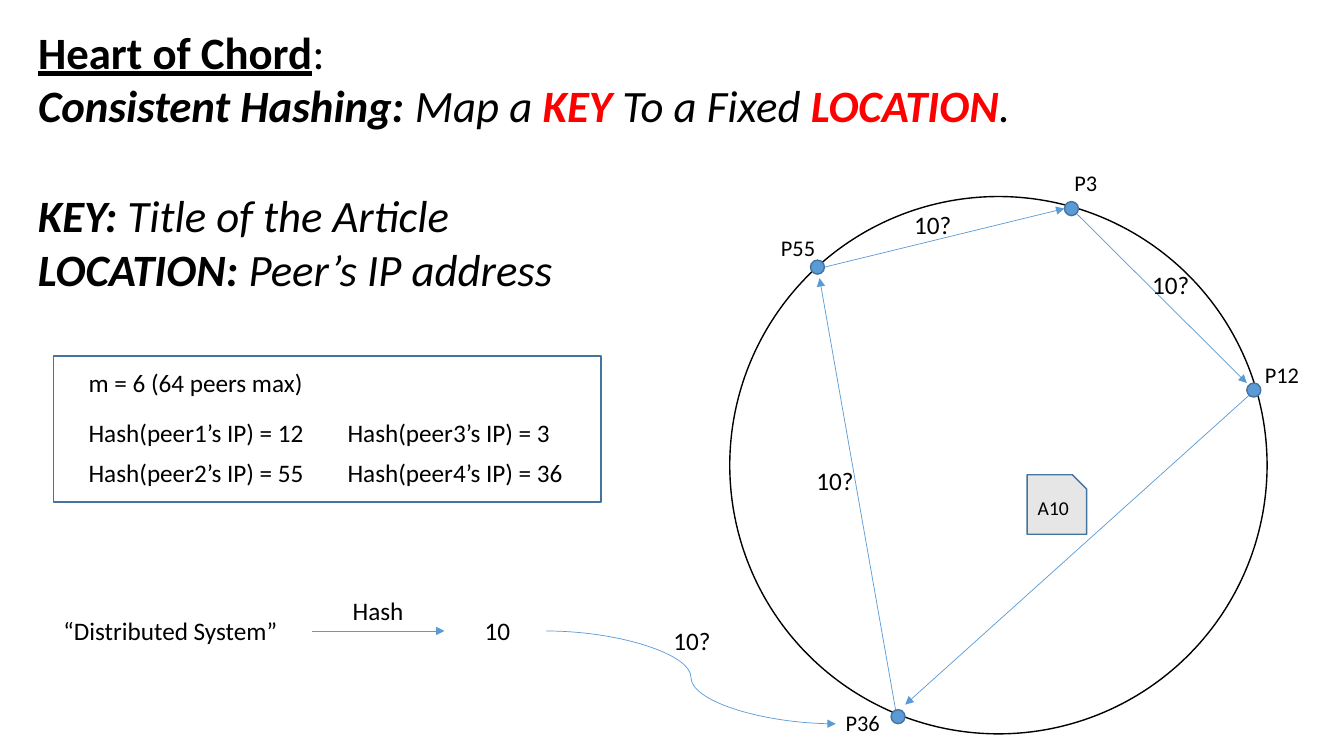
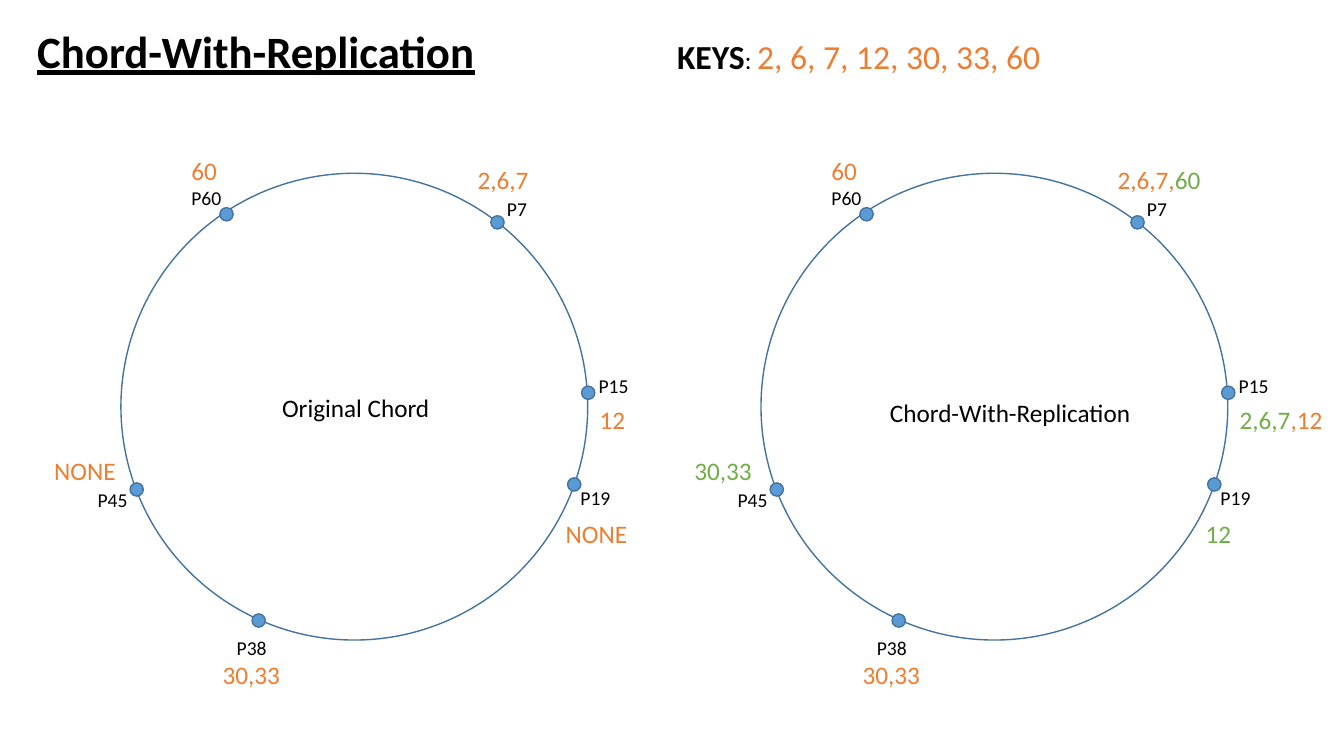
"""Build two slides on consistent hashing in Chord and on its replication."""
from dataclasses import dataclass
from typing import Optional

from lxml import etree
from pptx import Presentation
from pptx.dml.color import RGBColor as Color
from pptx.enum.shapes import MSO_CONNECTOR as Connector, MSO_SHAPE as Shape
from pptx.enum.text import MSO_ANCHOR as Anchor, MSO_AUTO_SIZE as AutoSize, PP_ALIGN as Align
from pptx.oxml.ns import qn
from pptx.util import Pt


@dataclass(frozen=True)
class Theme:
    font: str = "Calibri"
    ink: Color = Color(0x00, 0x00, 0x00)
    red: Color = Color(0xFF, 0x00, 0x00)
    blue: Color = Color(0x5B, 0x9B, 0xD5)
    outline: Color = Color(0x43, 0x73, 0x9E)
    grey: Color = Color(0xE7, 0xE6, 0xE6)
    orange: Color = Color(0xED, 0x7D, 0x31)
    green: Color = Color(0x70, 0xAD, 0x47)
    title: int = 32
    heading: int = 24
    body: int = 18
    peer: int = 16
    small: int = 14


@dataclass(frozen=True)
class Span:
    text: str
    bold: Optional[bool] = None
    italic: Optional[bool] = None
    underline: Optional[bool] = None
    color: Optional[Color] = None
    size: Optional[int] = None


theme = Theme()


def write(box, place, size, *lines, anchor=Anchor.TOP, align=Align.LEFT):
    box.left, box.top, box.width, box.height = map(Pt, place)
    frame = box.text_frame
    frame.word_wrap = True
    frame.auto_size = AutoSize.NONE
    frame.vertical_anchor = anchor
    for index, line in enumerate(lines):
        para = frame.add_paragraph() if index else frame.paragraphs[0]
        para.alignment = align
        para.font.name = theme.font
        para.font.size = Pt(size)
        para.font.bold = False
        para.font.color.rgb = theme.ink
        for span in line:
            run = para.add_run()
            run.text = span.text
            for name in ("bold", "italic", "underline"):
                if getattr(span, name) is not None:
                    setattr(run.font, name, getattr(span, name))
            if span.color is not None:
                run.font.color.rgb = span.color
            if span.size is not None:
                run.font.size = Pt(span.size)


def draw(page, kind, place, fill=None, line=theme.outline):
    shape = page.shapes.add_shape(kind, *map(Pt, place))
    shape.shadow.inherit = False
    if fill is None:
        shape.fill.background()
    else:
        shape.fill.solid()
        shape.fill.fore_color.rgb = fill
    shape.line.color.rgb = line
    shape.line.width = Pt(1)
    return shape


deck = Presentation()
deck.slide_width, deck.slide_height = Pt(960), Pt(540)
title_only = deck.slide_layouts[5]

page = deck.slides.add_slide(title_only)
write(
    page.shapes.title, (20, 13.7, 870, 86), theme.title,
    [Span("Heart of Chord", bold=True, underline=True), Span(":")],
    [
        Span("Consistent Hashing: ", bold=True, italic=True),
        Span("Map a ", italic=True),
        Span("KEY ", bold=True, italic=True, color=theme.red),
        Span("To a Fixed ", italic=True),
        Span("LOCATION", bold=True, italic=True, color=theme.red),
        Span(".", italic=True),
    ],
)
write(
    page.shapes.add_textbox(0, 0, 0, 0), (20, 130.8, 480, 86), theme.title,
    [Span("KEY: ", bold=True, italic=True), Span("Title of the Article", italic=True)],
    [Span("LOCATION: ", bold=True, italic=True), Span("Peer’s IP address", italic=True)],
)

draw(page, Shape.RECTANGLE, (38.2, 254.2, 391, 104.4))
draw(page, Shape.OVAL, (521.3, 140.4, 383.8, 383.8), line=theme.ink)

arrows = [
    (Connector.STRAIGHT, 223, 450.7, 317.5, 450.7),
    (Connector.CURVE, 390.2, 450.7, 597, 517),
    (Connector.STRAIGHT, 641.5, 517, 585.4, 198.7),
    (Connector.STRAIGHT, 589, 190.8, 760.3, 149),
    (Connector.STRAIGHT, 761.8, 145.4, 890.6, 273.6),
    (Connector.STRAIGHT, 896.4, 278.6, 646.6, 503.3),
]
for kind, *ends in arrows:
    arrow = page.shapes.add_connector(kind, *map(Pt, ends))
    arrow.line.color.rgb = theme.blue
    arrow.line.width = Pt(0.5)
    properties = arrow.element.spPr
    etree.SubElement(properties.find(qn("a:ln")), qn("a:tailEnd"), type="triangle")
    etree.SubElement(properties, qn("a:effectLst"))

peers = [
    ("P3", 760.3, 144, 760.3, 117.4),
    ("P12", 890.6, 273.6, 896.4, 254.2),
    ("P55", 578.9, 185.8, 550.8, 163.4),
    ("P36", 636.5, 506.9, 596.9, 503.3),
]
for name, dot_x, dot_y, x, y in peers:
    draw(page, Shape.OVAL, (dot_x, dot_y, 10, 10), fill=theme.blue)
    write(page.shapes.add_textbox(0, 0, 0, 0), (x, y, 44, 26.6), theme.peer, [Span(name)])

article = draw(page, Shape.SNIP_1_RECTANGLE, (733.7, 339.1, 42.5, 42.5), fill=theme.grey)
article.adjustments[0] = 0.24
write(article, (733.7, 339.1, 42.5, 42.5), theme.small, [Span("A10")],
      anchor=Anchor.MIDDLE, align=Align.CENTER)

labels = [
    ("m = 6 (64 peers max)", 56.2, 258.5, 175),
    ("Hash(peer1’s IP) = 12", 56.2, 294.5, 175),
    ("Hash(peer2’s IP) = 55", 56.2, 323.3, 175),
    ("Hash(peer3’s IP) = 3", 241.2, 294.5, 175),
    ("Hash(peer4’s IP) = 36", 241.2, 323.3, 175),
    ("“Distributed System”", 38.2, 436.3, 175),
    ("Hash", 244.8, 421.9, 56),
    ("10", 339.1, 436.3, 38),
    ("10?", 815.8, 188.6, 46),
    ("10?", 576, 329, 46),
    ("10?", 645.8, 146.2, 46),
    ("10?", 473.8, 442.8, 46),
]
for text, x, y, width in labels:
    write(page.shapes.add_textbox(0, 0, 0, 0), (x, y, width, 29), theme.body, [Span(text)])

page = deck.slides.add_slide(title_only)
write(page.shapes.title, (19.4, 13, 400, 46), theme.title,
      [Span("Chord-With-Replication", bold=True, underline=True)])
write(
    page.shapes.add_textbox(0, 0, 0, 0), (476.6, 22.3, 290, 36), theme.heading,
    [
        Span("KEYS", bold=True),
        Span(": ", size=theme.body),
        Span("2, 6, 7, 12, 30, 33, 60", color=theme.orange),
    ],
)

ring_peers = [
    ("P7", (350.6, 154.1), (355, 136.8), (334.1, 113.8)),
    ("P15", (415.4, 275.8), (420.5, 263.5), (421.2, 285.1)),
    ("P19", (405.4, 341.3), (407.5, 343.4), (397, 366.5)),
    ("P38", (180, 438.5), (162, 450.7), (151.9, 467.3)),
    ("P60", (157, 148.3), (129.6, 129.6), (129.6, 107.3)),
    ("P45", (92.9, 344.9), (62.6, 344.9), (31.7, 321.8)),
]
own, copied = theme.orange, theme.green
rings = [
    (0, ("Original Chord", 194.4, 276.5, 126), {
        "P7": [("2,6,7", own)],
        "P15": [("12", own)],
        "P19": [("NONE", own)],
        "P38": [("30,33", own)],
        "P60": [("60", own)],
        "P45": [("NONE", own)],
    }),
    (457.2, ("Chord-With-Replication", 628.6, 280.1, 194), {
        "P7": [("2,6,7,", own), ("60", copied)],
        "P15": [("2,6,7", copied), (",12", own)],
        "P19": [("12", copied)],
        "P38": [("30,33", own)],
        "P60": [("60", own)],
        "P45": [("30,33", copied)],
    }),
]
for shift, (caption, caption_x, caption_y, width), keys in rings:
    draw(page, Shape.OVAL, (86.4, 123.8, 333.4, 333.4)[:0] + (86.4 + shift, 123.8, 333.4, 333.4))
    write(page.shapes.add_textbox(0, 0, 0, 0), (caption_x, caption_y, width, 29),
          theme.body, [Span(caption)])
    for name, (dot_x, dot_y), (name_x, name_y), (keys_x, keys_y) in ring_peers:
        draw(page, Shape.OVAL, (dot_x + shift, dot_y, 9.5, 9.5), fill=theme.blue)
        write(page.shapes.add_textbox(0, 0, 0, 0), (name_x + shift, name_y, 42, 24.2),
              theme.small, [Span(name)])
        write(page.shapes.add_textbox(0, 0, 0, 0), (keys_x + shift, keys_y, 78, 29),
              theme.body, [Span(text, color=color) for text, color in keys[name]])

deck.save("out.pptx")
